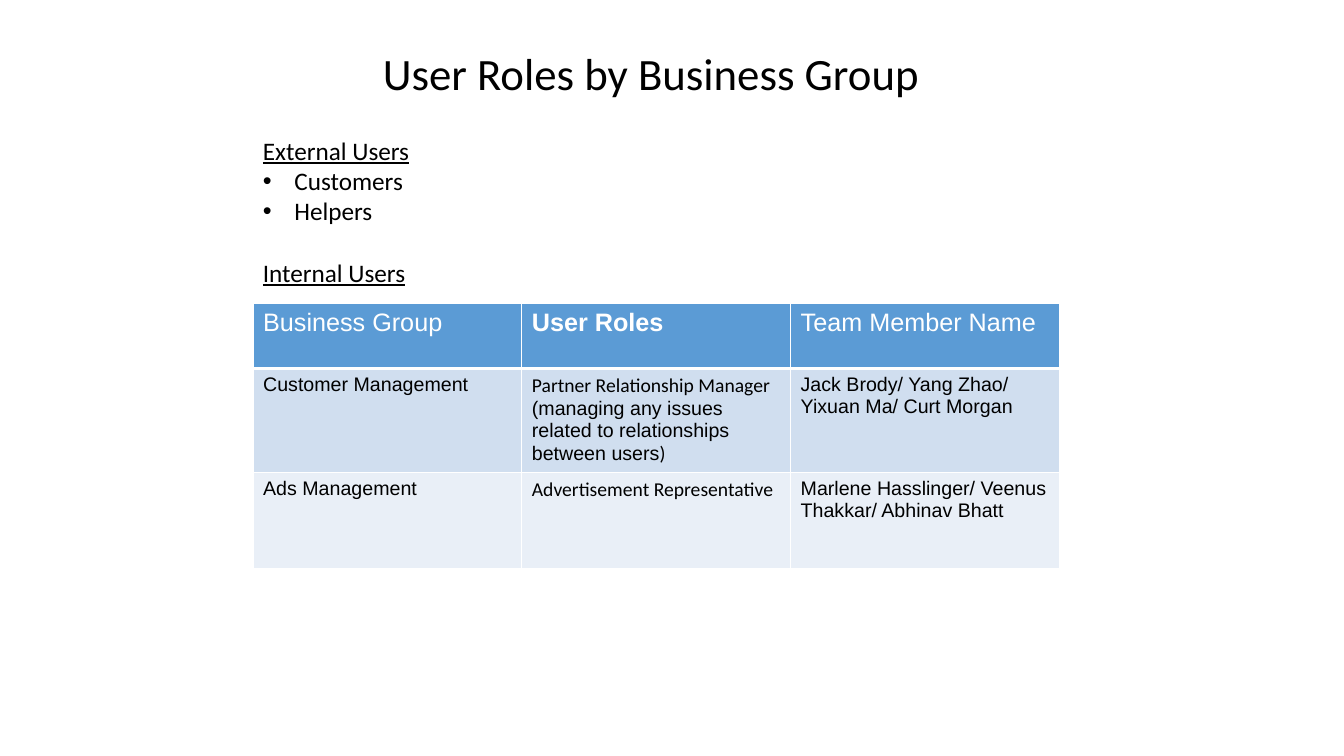
"""Build a slide that lists user roles by business group."""
from lxml import etree
from pptx import Presentation
from pptx.dml.color import RGBColor
from pptx.enum.text import MSO_ANCHOR, MSO_AUTO_SIZE, PP_ALIGN
from pptx.oxml.ns import qn
from pptx.util import Pt

PX = 9525
LEFT = 241
COL_W = 256
ROW_HEIGHTS = [62, 99, 91]
INDENT = 30

BLACK = RGBColor(0x00, 0x00, 0x00)
WHITE = RGBColor(0xFF, 0xFF, 0xFF)
ROW_FILLS = [RGBColor(0x5B, 0x9B, 0xD5), RGBColor(0xD0, 0xDE, 0xEF), RGBColor(0xE9, 0xEF, 0xF7)]
ALIGN_LEFT = PP_ALIGN.LEFT
MIDDLE = MSO_ANCHOR.MIDDLE
NO_FIT = MSO_AUTO_SIZE.NONE
SANS, BODY = "Arial", "Calibri"


def add_run(p, text, size, font=BODY, color=BLACK, bold=False, underline=False):
    r = p.add_run()
    r.text = text
    r.font.size = Pt(size)
    r.font.name = font
    r.font.color.rgb = color
    r.font.bold = bold
    r.font.underline = underline


def add_border(cell, side, width):
    ln = etree.SubElement(cell._tc.get_or_add_tcPr(), qn(f"a:ln{side}"), w=str(Pt(width)))
    fill = etree.SubElement(ln, qn("a:solidFill"))
    etree.SubElement(fill, qn("a:srgbClr"), val=str(WHITE))


prs = Presentation()
prs.slide_width, prs.slide_height = 1280 * PX, 720 * PX
s = prs.slides.add_slide(prs.slide_layouts[5])

title = s.shapes.title
title.left, title.top, title.width, title.height = 355 * PX, 39 * PX, 535 * PX, 61 * PX
tf = title.text_frame
tf.auto_size = NO_FIT
tf.vertical_anchor = MIDDLE
p = tf.paragraphs[0]
p.alignment = ALIGN_LEFT
add_run(p, "User Roles by Business Group", 32)

user_lists = [
    (124, 384, 97, "External Users", ["Customers", "Helpers"]),
    (240, 156, 38, "Internal Users", []),
]
for top, width, height, heading, users in user_lists:
    sp = s.shapes.add_textbox(LEFT * PX, top * PX, width * PX, height * PX)
    tf = sp.text_frame
    tf.word_wrap = True
    add_run(tf.paragraphs[0], heading, 18, underline=True)
    for user in users:
        p = tf.add_paragraph()
        pPr = p._p.get_or_add_pPr()
        pPr.set("marL", str(INDENT * PX))
        pPr.set("indent", str(-INDENT * PX))
        etree.SubElement(pPr, qn("a:buFont"), typeface=SANS)
        etree.SubElement(pPr, qn("a:buChar"), char="•")
        add_run(p, user, 18)

rows = [
    [[("Business Group", SANS)], [("User Roles", SANS)], [("Team Member Name", SANS)]],
    [
        [("Customer Management", SANS)],
        [
            ("Partner Relationship Manager", BODY),
            (" (managing any issues related to relationships between users", SANS),
            (")", BODY),
        ],
        [("Jack Brody/ Yang Zhao/ Yixuan Ma/ Curt Morgan", SANS)],
    ],
    [
        [("Ads Management", SANS)],
        [("Advertisement Representative", BODY)],
        [("Marlene Hasslinger/ Veenus Thakkar/ Abhinav Bhatt", SANS)],
    ],
]
table = s.shapes.add_table(
    len(rows), len(rows[0]), LEFT * PX, 289 * PX, len(rows[0]) * COL_W * PX, sum(ROW_HEIGHTS) * PX
).table
for column in table.columns:
    column.width = COL_W * PX
for i, row in enumerate(rows):
    table.rows[i].height = ROW_HEIGHTS[i] * PX
    header = i == 0
    for j, runs in enumerate(row):
        cell = table.cell(i, j)
        for side in "LRTB":
            thick = (header and side == "B") or (i == 1 and side == "T")
            add_border(cell, side, 3 if thick else 1)
        cell.fill.solid()
        cell.fill.fore_color.rgb = ROW_FILLS[i]
        p = cell.text_frame.paragraphs[0]
        for text, font in runs:
            add_run(p, text, 18 if header else 14, font, WHITE if header else BLACK, header and j == 1)

prs.save("out.pptx")
